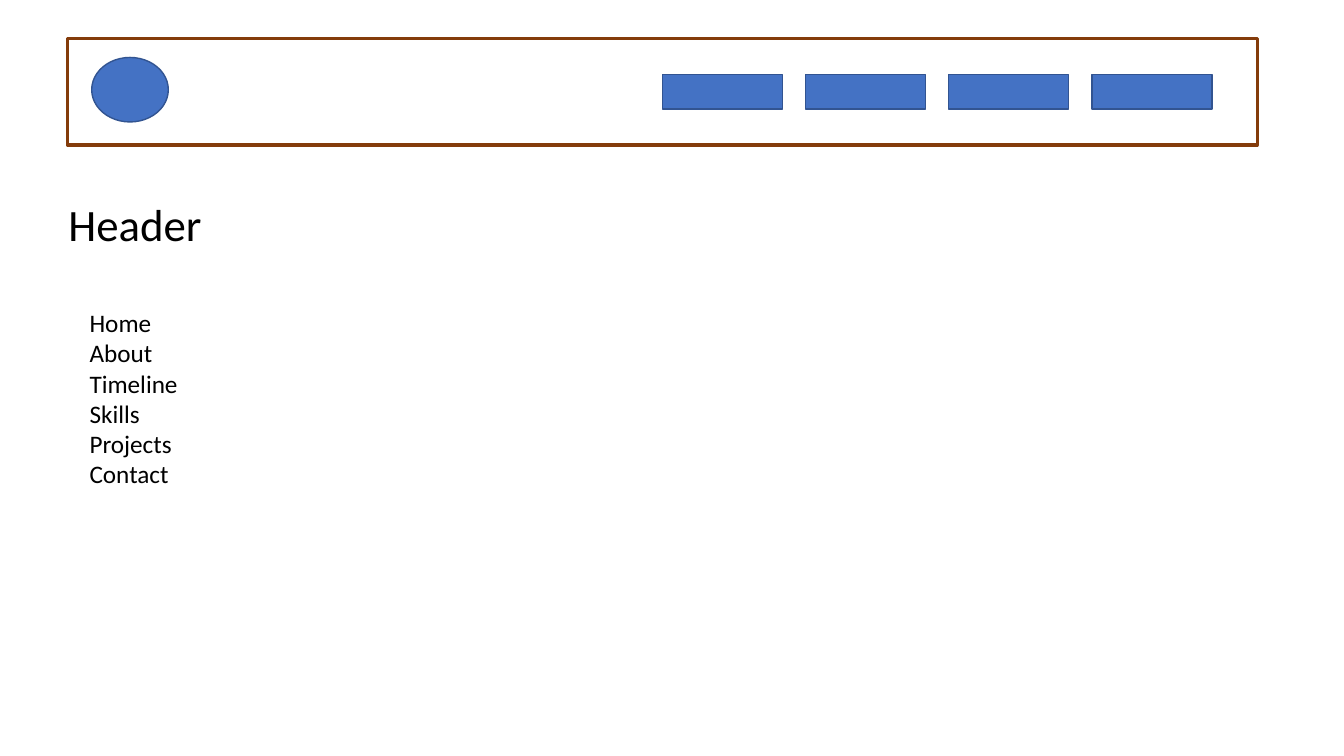
"""Build a wireframe slide: a navigation bar and the list of header entries."""
from pptx import Presentation
from pptx import util as u
from pptx.dml.color import RGBColor
from pptx.enum import shapes, text

COLORS = {"frame": "843C0B", "fill": "4472C4", "outline": "325491", "text": "000000"}
MENU_ENTRIES = ["Home", "About", "Timeline", "Skills", "Projects", "Contact"]
BUTTON_COUNT = 4
BUTTON_LEFT = 6.57
BUTTON_PITCH = 1.42


def color(name):
    """Return the named colour."""
    return RGBColor.from_string(COLORS[name])


def write_text(paragraph, content, *, size, font="Calibri", ink="text"):
    """Write one formatted run into a paragraph."""
    run = paragraph.add_run()
    run.text = content
    run.font.name = font
    run.font.size = u.Pt(size)
    run.font.color.rgb = color(ink)


class WireframeSlide:
    """Hold the style and the current slide."""

    kinds = shapes.MSO_SHAPE

    def __init__(self, slide):
        """Keep the slide to draw on."""
        self.slide = slide

    def add_box(self, kind, left, top, width, height, *,
                fill="fill", line="outline", weight=1):
        """Add a preset shape, unfilled when fill is None."""
        shape = self.slide.shapes.add_shape(
            kind, *map(u.Inches, (left, top, width, height)))
        shape.shadow.inherit = False
        if fill is None:
            shape.fill.background()
        else:
            shape.fill.solid()
            shape.fill.fore_color.rgb = color(fill)
        shape.line.color.rgb = color(line)
        shape.line.width = u.Pt(weight)

    def add_text(self, lines, left, top, width, height, *, size):
        """Add a wrapping text box with one paragraph per line."""
        shape = self.slide.shapes.add_textbox(
            *map(u.Inches, (left, top, width, height)))
        frame = shape.text_frame
        frame.word_wrap = True
        frame.auto_size = text.MSO_AUTO_SIZE.SHAPE_TO_FIT_TEXT
        for index, line in enumerate(lines):
            paragraph = frame.add_paragraph() if index else frame.paragraphs[0]
            write_text(paragraph, line, size=size)


def main():
    """Build and save the presentation."""
    presentation = Presentation()
    presentation.slide_width = u.Inches(13.33)
    presentation.slide_height = u.Inches(7.5)
    slide = presentation.slides.add_slide(presentation.slide_layouts[6])
    page = WireframeSlide(slide)

    page.add_box(page.kinds.RECTANGLE, 0.67, 0.38, 11.8, 1.06,
                 fill=None, line="frame", weight=2.25)
    page.add_box(page.kinds.OVAL, 0.91, 0.57, 0.76, 0.64)
    for index in range(BUTTON_COUNT):
        page.add_box(page.kinds.RECTANGLE,
                     BUTTON_LEFT + index * BUTTON_PITCH, 0.74, 1.19, 0.34)

    page.add_text(["Header"], 0.58, 1.9, 1.84, 0.64, size=32)
    page.add_text(MENU_ENTRIES, 0.79, 3, 2.37, 2.22, size=18)
    presentation.save("out.pptx")


main()
